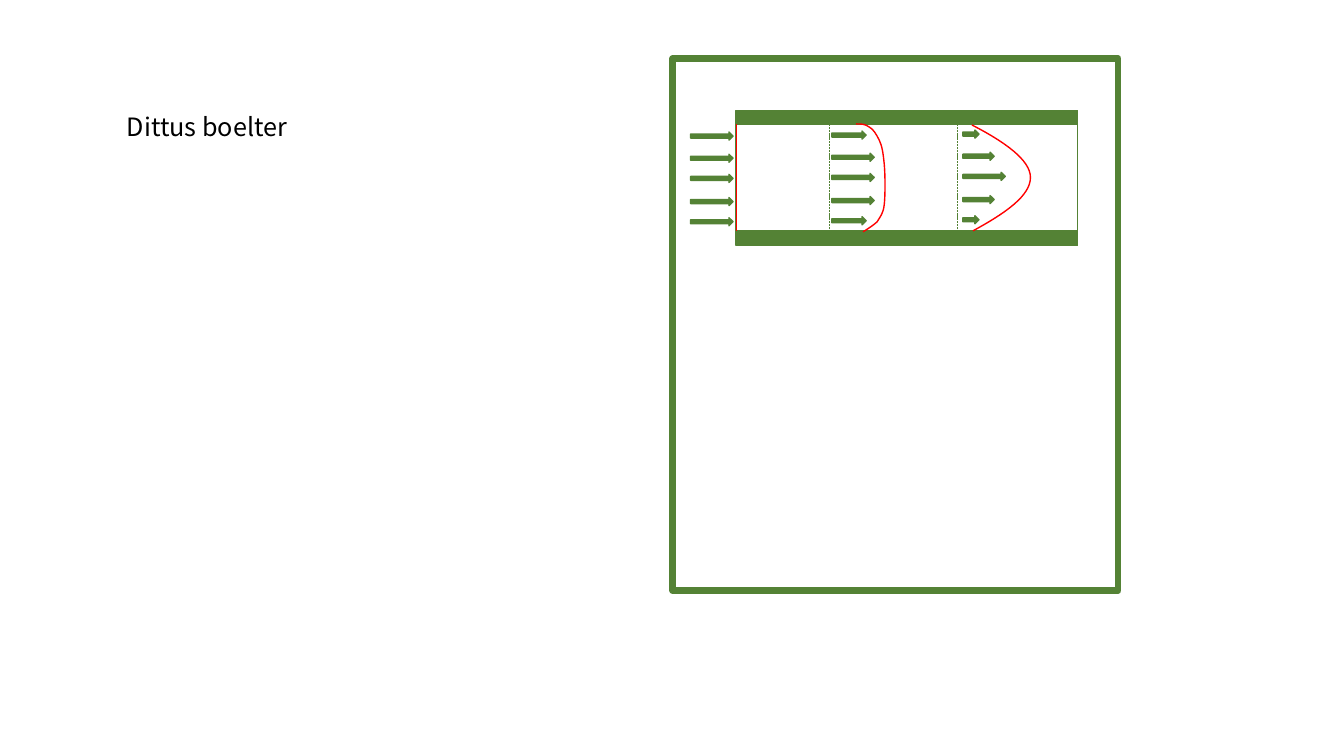
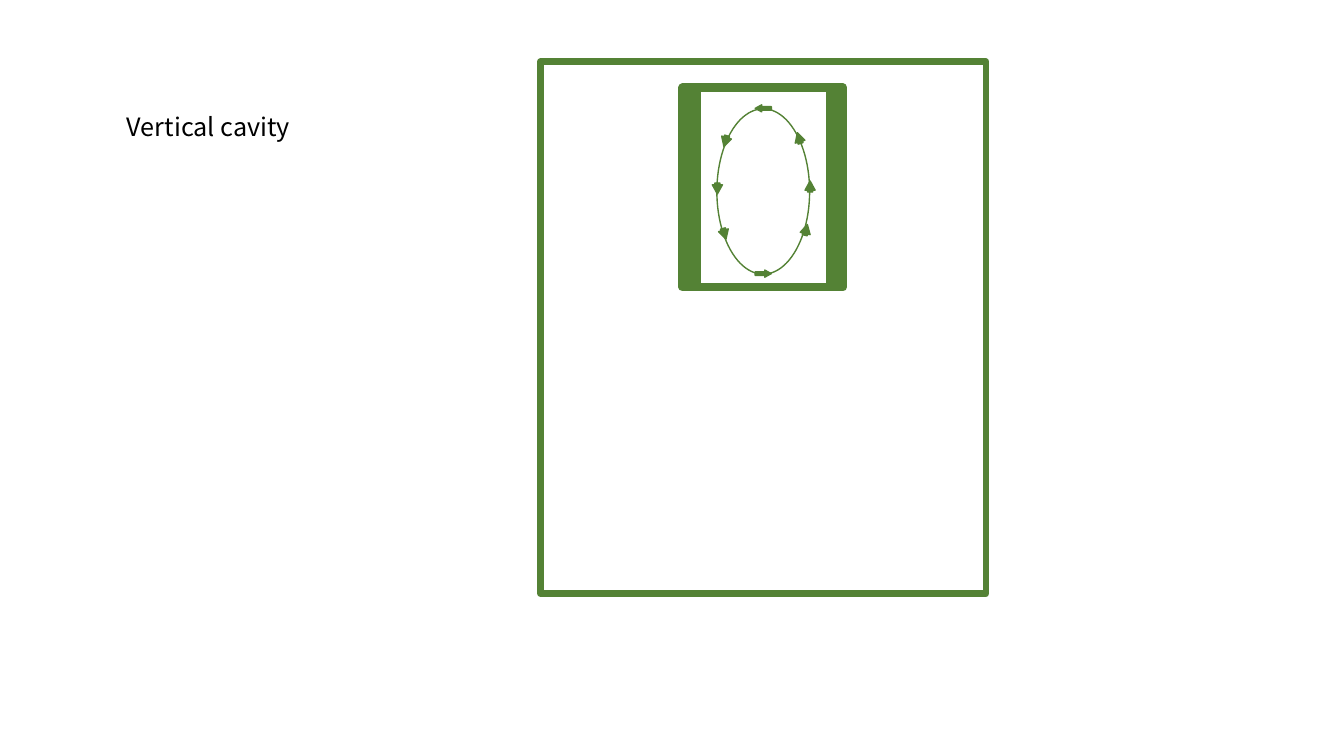
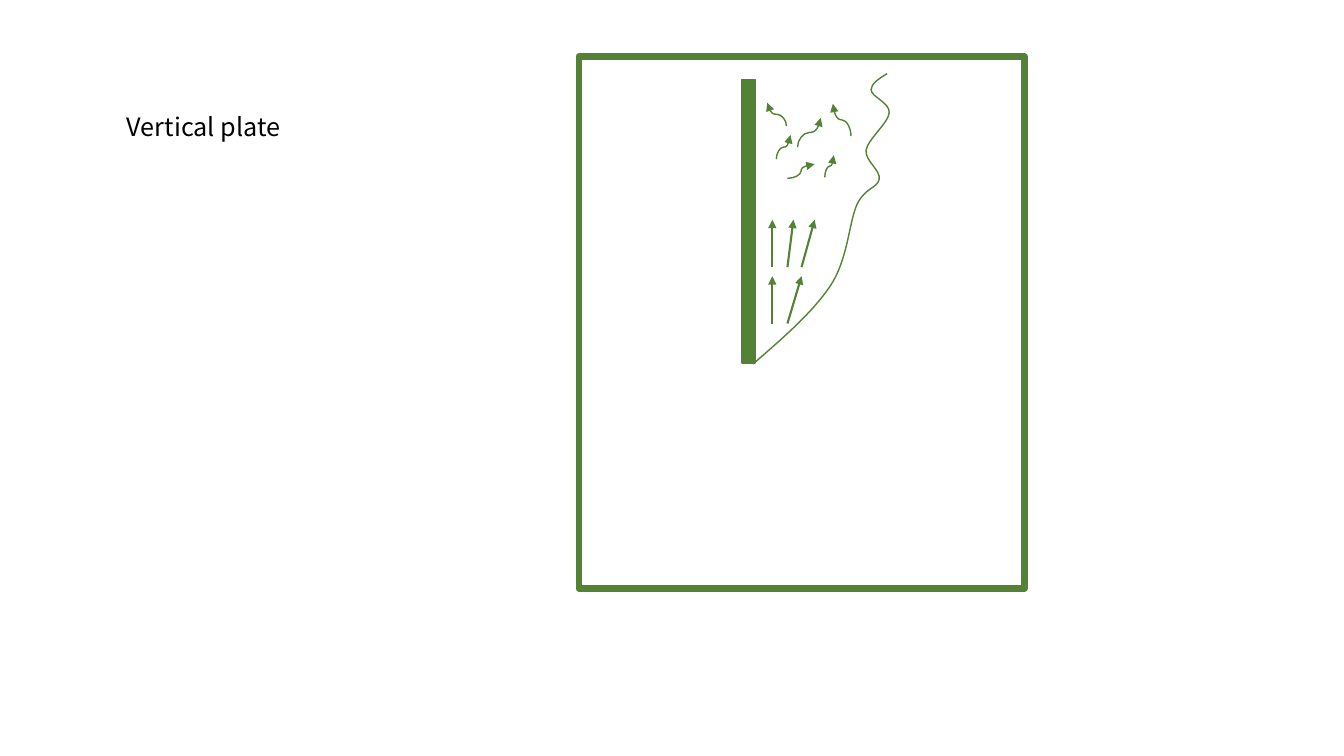
from dataclasses import dataclass

from lxml.etree import SubElement
from pptx import Presentation
from pptx.dml.color import RGBColor
from pptx.enum.dml import MSO_LINE
from pptx.enum.shapes import MSO_CONNECTOR as Link, MSO_SHAPE as Preset
from pptx.enum.text import MSO_AUTO_SIZE
from pptx.oxml.ns import qn
from pptx.shapes.autoshape import Shape
from pptx.shapes.connector import Connector
from pptx.shapes.shapetree import GroupShapes
from pptx.util import Inches, Pt

COLORS = {"green": "548235", "red": "FF0000", "white": "FFFFFF", "text": "000000"}
FONT = "Noto Sans CJK KR"
Point = tuple[float, float]


@dataclass(frozen=True)
class Box:
    left: float
    top: float
    width: float
    height: float


@dataclass(frozen=True)
class FlowColumn:
    """Velocity arrows at one station along the pipe."""
    left: float
    rise: float
    lengths: tuple[float, ...]


@dataclass(frozen=True)
class Circulation:
    """One arrow of the loop; heading is clockwise from rightward."""
    left: float
    top: float
    heading: float
    width: float = 0.11
    height: float = 0.1


@dataclass(frozen=True)
class Stroke:
    start: Point
    end: Point


@dataclass(frozen=True)
class Eddy(Stroke):
    upward: bool = True


def color(name: str) -> RGBColor:
    return RGBColor.from_string(COLORS[name])


def draw_shape(shapes: GroupShapes, preset: Preset, box: Box,
               fill: str = "green", weight: float = 1) -> Shape:
    shape = shapes.add_shape(preset, Inches(box.left), Inches(box.top),
                             Inches(box.width), Inches(box.height))
    shape.shadow.inherit = False
    shape.fill.solid()
    shape.fill.fore_color.rgb = color(fill)
    shape.line.color.rgb = color("green")
    shape.line.width = Pt(weight)
    return shape


def draw_line(shapes: GroupShapes, stroke: Stroke, weight: float, ink: str = "green",
              dashed: bool = False, arrow: bool = False, kind: Link = Link.STRAIGHT) -> Connector:
    line = shapes.add_connector(kind, *map(Inches, stroke.start + stroke.end))
    line.line.color.rgb = color(ink)
    line.line.width = Pt(weight)
    if dashed:
        line.line.dash_style = MSO_LINE.SQUARE_DOT
    properties = line.element.spPr
    if arrow:
        SubElement(properties.find(qn("a:ln")), qn("a:tailEnd"), type="triangle")
    SubElement(properties, qn("a:effectLst"))
    return line


def draw_eddy(shapes: GroupShapes, eddy: Eddy) -> None:
    """Draw a curved arrow; an upward one is laid sideways, then given a quarter turn."""
    if not eddy.upward:
        draw_line(shapes, eddy, 1, arrow=True, kind=Link.CURVE)
        return
    (x1, y1), (x2, y2) = eddy.start, eddy.end
    turn = 1 if x2 > x1 else -1
    mid_x, mid_y = (x1 + x2) / 2, (y1 + y2) / 2
    half_x, half_y = turn * (x1 - x2) / 2, turn * (y1 - y2) / 2
    sideways = Stroke((mid_x + half_y, mid_y - half_x), (mid_x - half_y, mid_y + half_x))
    line = draw_line(shapes, sideways, 1, arrow=True, kind=Link.CURVE)
    line.element.spPr.find(qn("a:xfrm")).set("rot", str(turn * 90 % 360 * 60000))


def draw_curve(shapes: GroupShapes, points: list[Point], ink: str) -> None:
    """Draw Bézier segments: a start point, then two controls and an end for each."""
    start, *rest = [(Inches(x), Inches(y)) for x, y in points]
    builder = shapes.build_freeform(*start)
    builder.add_line_segments(rest, close=False)
    curve = builder.convert_to_shape()
    curve.shadow.inherit = False
    curve.fill.background()
    curve.line.color.rgb = color(ink)
    curve.line.width = Pt(1)
    path = next(curve.element.iter(qn("a:path")))
    segments = path.findall(qn("a:lnTo"))
    for first in range(0, len(segments), 3):
        bezier = SubElement(path, qn("a:cubicBezTo"))
        for segment in segments[first:first + 3]:
            bezier.append(segment[0])
            path.remove(segment)


def start_slide(deck: Presentation, title: str, panel_left: float, panel_top: float) -> GroupShapes:
    """Add a titled slide with its framed panel; return the diagram's shapes."""
    slide = deck.slides.add_slide(deck.slide_layouts[6])
    draw_shape(slide.shapes, Preset.RECTANGLE, Box(panel_left, panel_top, 4.42, 5.28), "white", 4.5)
    heading = slide.shapes.add_textbox(Inches(1.16), Inches(1.06), Inches(3.41), Inches(0.4))
    frame = heading.text_frame
    frame.word_wrap = True
    frame.auto_size = MSO_AUTO_SIZE.SHAPE_TO_FIT_TEXT
    paragraph = frame.paragraphs[0]
    paragraph.text = title
    paragraph.font.size = Pt(18)
    paragraph.font.name = FONT
    paragraph.font.color.rgb = color("text")
    return slide.shapes.add_group_shape().shapes


def build_pipe_flow(deck: Presentation) -> None:
    diagram = start_slide(deck, "Dittus boelter", 6.67, 0.58)
    draw_shape(diagram, Preset.RECTANGLE, Box(7.3, 1.1, 3.39, 1.33), "white")
    for wall_top, thickness in ((1.1, 0.13), (2.29, 0.14)):
        draw_shape(diagram, Preset.RECTANGLE, Box(7.3, wall_top, 3.39, thickness))

    arrow_tops = (1.31, 1.53, 1.73, 1.96, 2.16)
    columns = (
        FlowColumn(6.85, 0, (0.42,) * 5),
        FlowColumn(8.25, 0.01, (0.34, 0.42, 0.42, 0.42, 0.34)),
        FlowColumn(9.55, 0.02, (0.16, 0.31, 0.42, 0.31, 0.16)),
    )
    for column in columns:
        for top, length in zip(arrow_tops, column.lengths):
            draw_shape(diagram, Preset.RIGHT_ARROW, Box(column.left, top - column.rise, length, 0.08))

    for station in (8.23, 9.5):
        draw_line(diagram, Stroke((station, 1.23), (station, 2.29)), 0.5, dashed=True)
    developing = [
        (8.49, 1.23), (8.54, 1.23), (8.58, 1.23), (8.62, 1.26),
        (8.66, 1.28), (8.69, 1.33), (8.72, 1.39), (8.75, 1.45), (8.76, 1.53), (8.77, 1.63),
        (8.78, 1.74), (8.78, 1.94), (8.77, 2.03), (8.76, 2.12), (8.73, 2.15), (8.7, 2.2),
        (8.66, 2.24), (8.56, 2.3), (8.56, 2.3),
    ]
    developed = [
        (9.64, 1.24), (9.97, 1.41), (10.22, 1.59), (10.22, 1.76),
        (10.22, 1.94), (9.98, 2.11), (9.65, 2.29),
    ]
    for profile in (developing, developed):
        draw_curve(diagram, profile, "red")
    draw_line(diagram, Stroke((7.3, 2.29), (7.3, 1.23)), 0.5, "red")


def build_cavity(deck: Presentation) -> None:
    diagram = start_slide(deck, "Vertical cavity", 5.36, 0.61)
    draw_shape(diagram, Preset.RECTANGLE, Box(6.77, 0.87, 1.59, 1.98), weight=6)
    draw_shape(diagram, Preset.RECTANGLE, Box(6.91, 0.87, 1.33, 1.98), "white", 6)
    draw_shape(diagram, Preset.OVAL, Box(7.11, 1.08, 0.92, 1.64), "white")
    loop = (
        Circulation(7.49, 1.04, 180, 0.16, 0.07),
        Circulation(7.87, 1.32, 253.3),
        Circulation(7.94, 2.23, 283.4),
        Circulation(7.49, 2.68, 0, 0.16, 0.07),
        Circulation(7.13, 2.27, 74.4),
        Circulation(7.14, 1.35, 106.5),
        Circulation(7.98, 1.8, 270),
        Circulation(7.06, 1.82, 90),
    )
    for flow in loop:
        arrow = draw_shape(diagram, Preset.RIGHT_ARROW, Box(flow.left, flow.top, flow.width, flow.height))
        arrow.adjustments[0] = 0.5
        arrow.adjustments[1] = 0.917
        arrow.rotation = flow.heading


def build_plate(deck: Presentation) -> None:
    diagram = start_slide(deck, "Vertical plate", 5.74, 0.56)
    draw_shape(diagram, Preset.RECTANGLE, Box(7.36, 0.79, 0.13, 2.81))
    boundary_layer = [
        (7.47, 3.61), (7.77, 3.35), (8.06, 3.1), (8.24, 2.83),
        (8.41, 2.57), (8.42, 2.21), (8.5, 2.03), (8.58, 1.86), (8.7, 1.87), (8.72, 1.78),
        (8.74, 1.69), (8.58, 1.6), (8.59, 1.49), (8.61, 1.38), (8.81, 1.22), (8.82, 1.12),
        (8.83, 1.02), (8.64, 0.96), (8.64, 0.89), (8.64, 0.83), (8.72, 0.78), (8.8, 0.73),
    ]
    draw_curve(diagram, boundary_layer, "green")

    laminar_rows = {
        3.21: ((7.66, 7.66), (7.81, 7.95)),
        2.65: ((7.66, 7.66), (7.95, 8.08), (7.81, 7.87)),
    }
    for base, arrows in laminar_rows.items():
        for foot, tip in arrows:
            draw_line(diagram, Stroke((foot, base), (tip, base - 0.47)), 1.5, arrow=True)

    eddies = (
        Eddy((7.81, 1.77), (8.08, 1.63), upward=False),
        Eddy((8.18, 1.76), (8.27, 1.54)),
        Eddy((7.7, 1.58), (7.84, 1.34)),
        Eddy((7.91, 1.46), (8.14, 1.17)),
        Eddy((7.8, 1.25), (7.61, 1.02)),
        Eddy((8.44, 1.35), (8.26, 1.03)),
    )
    for eddy in eddies:
        draw_eddy(diagram, eddy)


def main() -> None:
    deck = Presentation()
    deck.slide_width = Inches(13.33)
    deck.slide_height = Inches(7.5)
    build_pipe_flow(deck)
    build_cavity(deck)
    build_plate(deck)
    deck.save("out.pptx")


if __name__ == "__main__":
    main()
